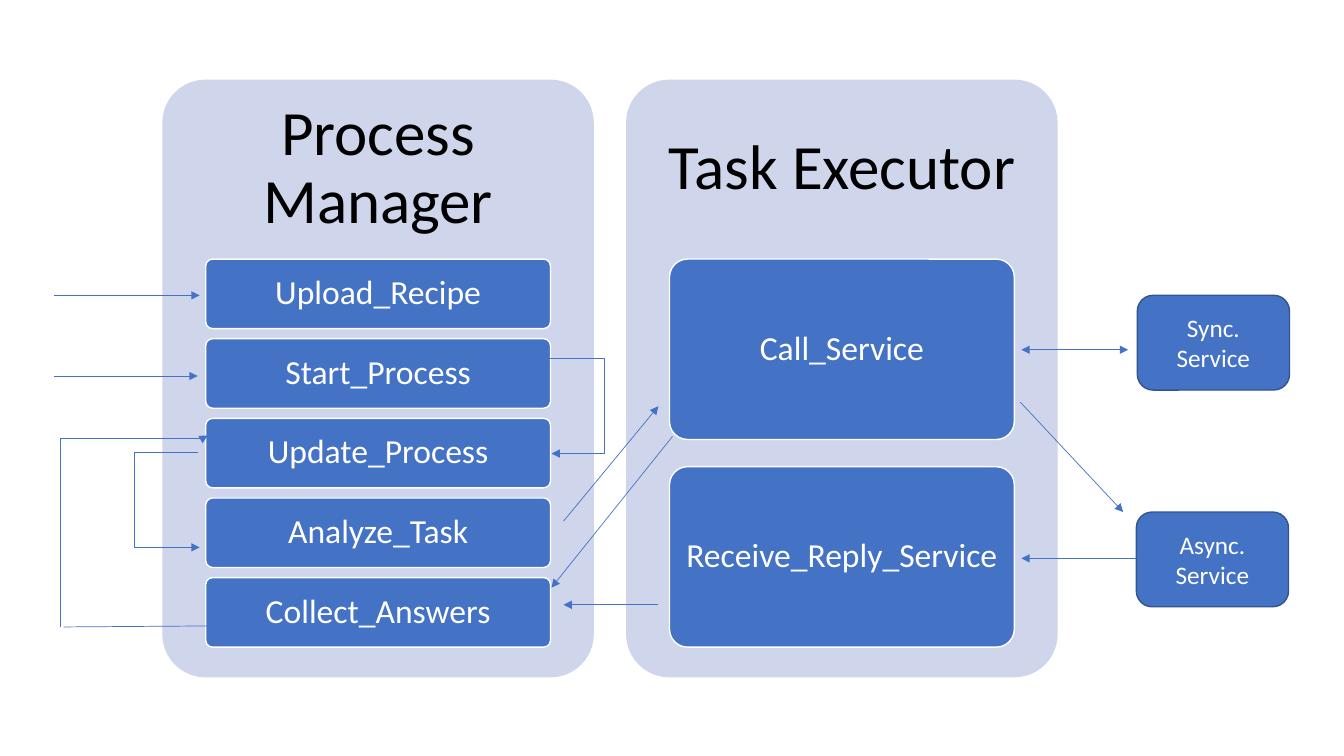
from pptx import Presentation
from pptx.dml.color import RGBColor
from pptx.enum.shapes import MSO_CONNECTOR as LINK, MSO_SHAPE as SHAPE
from pptx.enum.text import MSO_ANCHOR as ANCHOR, PP_ALIGN as ALIGN
from pptx.oxml.ns import qn
from pptx.util import Inches, Pt
from lxml.etree import SubElement

BLUE = RGBColor(0x44, 0x72, 0xC4)
NAVY = RGBColor(0x32, 0x54, 0x91)
PALE = RGBColor(0xCF, 0xD5, 0xEA)
WHITE = RGBColor(0xFF, 0xFF, 0xFF)
BLACK = RGBColor(0, 0, 0)

TOP, ROW_TOP = 0.79, 2.57
STEPS = ["Upload_Recipe", "Start_Process", "Update_Process",
         "Analyze_Task", "Collect_Answers"]
CALLS = ["Call_Service", "Receive_Reply_Service"]


def write(shape, text, size, color, pad=(0.1, 0.05), space=1.0):
    frame = shape.text_frame
    frame.word_wrap = True
    frame.vertical_anchor = ANCHOR.MIDDLE
    frame.margin_left = frame.margin_right = Inches(pad[0])
    frame.margin_top = frame.margin_bottom = Inches(pad[1])
    para = frame.paragraphs[0]
    para.text = text
    para.alignment = ALIGN.CENTER
    para.line_spacing = space
    para.font.name = "Calibri"
    para.font.size = Pt(size)
    para.font.color.rgb = color


def add_box(slide, x, y, w, h, fill, edge=None, curve=None):
    box = slide.shapes.add_shape(SHAPE.ROUNDED_RECTANGLE, Inches(x),
                                 Inches(y), Inches(w), Inches(h))
    box.shadow.inherit = False
    box.fill.solid()
    box.fill.fore_color.rgb = fill
    if edge is None:
        box.line.fill.background()
    else:
        box.line.color.rgb = edge
        box.line.width = Pt(1)
    if curve is not None:
        box.adjustments[0] = curve
    return box


def add_panel(slide, x, title, rows, step, high):
    add_box(slide, x, TOP, 4.28, 5.93, PALE, curve=0.1)
    head = slide.shapes.add_textbox(Inches(x), Inches(TOP), Inches(4.28),
                                    Inches(1.78))
    write(head, title, 45, BLACK, (0.19, 0.19), 0.9)
    for i, name in enumerate(rows):
        box = add_box(slide, x + 0.43, ROW_TOP + i * step, 3.42, high,
                      BLUE, WHITE, 0.1)
        write(box, name, 24, WHITE, (0.07, 0.05), 0.9)


def add_service(slide, x, y, name):
    write(add_box(slide, x, y, 1.51, 0.94, BLUE, NAVY), name, 18, WHITE)


def add_link(slide, start, end, tips=("tailEnd",), kind=LINK.STRAIGHT):
    link = slide.shapes.add_connector(kind, *map(Inches, start + end))
    link.line.color.rgb = BLUE
    link.line.width = Pt(0.5)
    props = link._element.spPr
    for tip in tips:
        SubElement(props.find(qn("a:ln")), qn("a:" + tip), type="triangle")
    SubElement(props, qn("a:effectLst"))
    return link


def add_elbow(slide, start, end, bend, tips=("tailEnd",), turn=0):
    """Bend is a share of the width; turn is in degrees."""
    link = add_link(slide, start, end, tips, LINK.ELBOW)
    props = link._element.spPr
    guides = props.find(qn("a:prstGeom")).find(qn("a:avLst"))
    SubElement(guides, qn("a:gd"), name="adj1",
               fmla=f"val {round(bend * 100000)}")
    if turn:
        props.find(qn("a:xfrm")).set("rot", str(turn * 60000))


def main():
    deck = Presentation()
    deck.slide_width, deck.slide_height = Inches(13.33), Inches(7.5)
    slide = deck.slides.add_slide(deck.slide_layouts[6])

    # Panels
    add_panel(slide, 1.61, "Process Manager", STEPS, 0.79, 0.69)
    add_panel(slide, 6.21, "Task Executor", CALLS, 2.06, 1.79)

    # Outside services
    add_service(slide, 11.28, 2.93, "Sync. Service")
    add_service(slide, 11.27, 5.08, "Async. Service")

    # Straight arrows
    for start, end in [
        ((0.54, 2.93), (1.98, 2.93)),
        ((0.54, 3.73), (1.96, 3.73)),
        ((5.59, 5.17), (6.53, 4.03)),
        ((6.67, 4.33), (5.47, 5.83)),
        ((6.53, 6), (5.59, 6)),
        ((10.12, 3.99), (11.14, 5.08)),
        ((11.27, 5.54), (10.13, 5.54)),
    ]:
        add_link(slide, start, end)
    add_link(slide, (10.13, 3.47), (11.19, 3.47), ("headEnd", "tailEnd"))

    # Loops between the process steps
    add_elbow(slide, (5.45, 3.56), (5.47, 4.5), 27)
    add_elbow(slide, (1.96, 4.49), (1.98, 5.43), -31)
    add_elbow(slide, (0.38, 4.54), (2.28, 6), 0.016, ("headEnd",), 90)
    add_link(slide, (2.06, 6.21), (0.63, 6.22), ())

    deck.save("out.pptx")


main()
